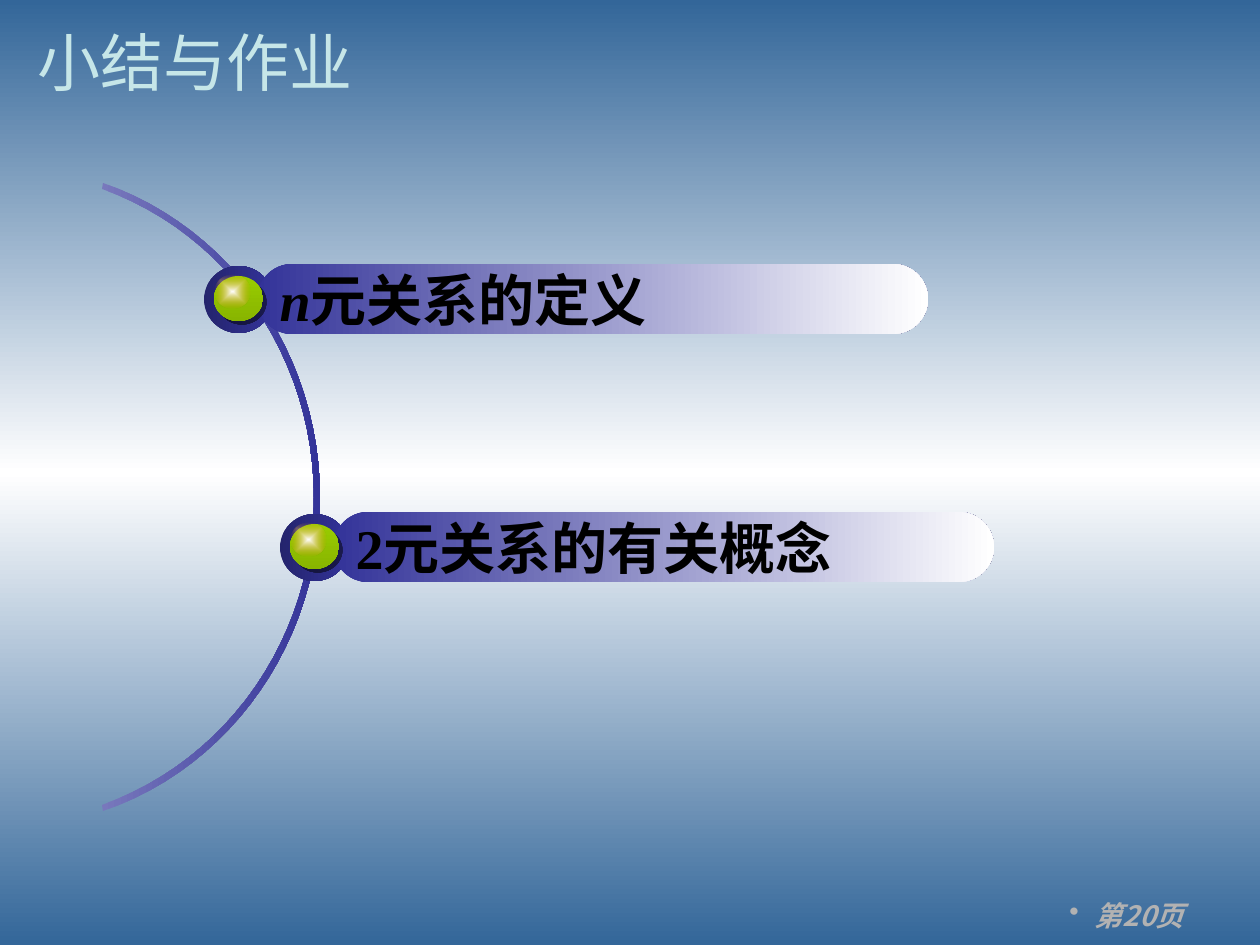
from lxml.etree import SubElement
from pptx import Presentation
from pptx.dml.color import RGBColor
from pptx.enum.shapes import MSO_SHAPE as Shape
from pptx.enum.text import MSO_ANCHOR as Anchor, PP_ALIGN as Align
from pptx.oxml.ns import qn
from pptx.util import Pt

PX = 914400 / 126
LATIN = "Times New Roman"
CJK = "Noto Sans CJK SC"
NAVY, WHITE = "333399", "FFFFFF"

TITLE = "小结与作业"
PAGE_LABEL = "第20页"
ITEMS = [
    {"lead": "n", "italic": True, "text": "元关系的定义", "left": 204, "top": 264, "width": 671},
    {"lead": "2", "italic": False, "text": "元关系的有关概念", "left": 280, "top": 512, "width": 661},
]
OUTER_ARC = [(102, 189), (229, 234), (314, 358), (314, 498), (314, 636), (229, 760), (102, 805)]
INNER_ARC = [(103, 811), (233, 766), (320, 639), (320, 498), (320, 355), (233, 229), (103, 183)]
CURVE_STEPS = 24


def emu(*lengths):
    return [round(length * PX) for length in lengths]


def rgb(value):
    return RGBColor.from_string(value)


def add_color(parent, value, alpha=100):
    color = SubElement(parent, qn("a:srgbClr"), val=value)
    if alpha < 100:
        SubElement(color, qn("a:alpha"), val=str(alpha * 1000))


def set_gradient(fill, element, stops, angle=0, centered=False):
    fill.gradient()
    gradient = element.find(".//" + qn("a:gradFill"))
    for child in list(gradient):
        gradient.remove(child)
    stop_list = SubElement(gradient, qn("a:gsLst"))
    for position, value, *alpha in stops:
        stop = SubElement(stop_list, qn("a:gs"), pos=str(position * 1000))
        add_color(stop, value, *alpha)
    if centered:
        shading = SubElement(gradient, qn("a:path"), path="shape")
        SubElement(shading, qn("a:fillToRect"), l="50000", t="50000", r="50000", b="50000")
    else:
        SubElement(gradient, qn("a:lin"), ang=str(angle * 60000), scaled="0")


def finish(shape, stops, **gradient):
    shape.shadow.inherit = False
    shape.line.fill.background()
    set_gradient(shape.fill, shape.element, stops, **gradient)
    return shape


def add_shape(shapes, kind, bounds, stops, **gradient):
    return finish(shapes.add_shape(kind, *emu(*bounds)), stops, **gradient)


def add_text(para, text, size=32, font="Arial", color="000000", bold=False, italic=False):
    span = para.add_run()
    span.text = text
    style = span.font
    style.size, style.name = Pt(size), font
    style.bold, style.italic = bold, italic
    style.color.rgb = rgb(color)
    SubElement(style._element, qn("a:ea"), typeface=font)


def curve_points(controls):
    points = [controls[0]]
    for start in range(0, len(controls) - 1, 3):
        p0, p1, p2, p3 = controls[start:start + 4]
        for step in range(1, CURVE_STEPS + 1):
            t = step / CURVE_STEPS
            u = 1 - t
            points.append(tuple(
                u**3 * a + 3 * u * u * t * b + 3 * u * t * t * c + t**3 * d
                for a, b, c, d in zip(p0, p1, p2, p3)))
    return points


def add_arc(slide):
    points = [emu(*point) for point in curve_points(OUTER_ARC) + curve_points(INNER_ARC)]
    builder = slide.shapes.build_freeform(*points[0])
    builder.add_line_segments(points[1:], close=True)
    finish(builder.convert_to_shape(), [(0, "7878BC"), (100, NAVY)])


def add_item(slide, item):
    left, top = item["left"], item["top"]
    shapes = slide.shapes.add_group_shape().shapes
    add_shape(shapes, Shape.OVAL, (left, top + 2, 69, 67), [(0, "24246D"), (100, NAVY)])

    pill = add_shape(shapes, Shape.ROUNDED_RECTANGLE, (left + 53, top, item["width"], 70),
                     [(0, NAVY), (100, WHITE)])
    pill.adjustments[0] = 0.5
    frame = pill.text_frame
    frame.word_wrap = False
    frame.vertical_anchor = Anchor.MIDDLE
    para = frame.paragraphs[0]
    para.alignment = Align.LEFT
    add_text(para, item["lead"], font=LATIN, bold=True, italic=item["italic"])
    add_text(para, item["text"], bold=True)

    ball = add_shape(shapes, Shape.OVAL, (left + 10, top + 12, 49, 45),
                     [(0, "99CC00"), (100, "88B500")], angle=90)
    effects = ball.element.spPr.find(qn("a:effectLst"))
    shadow = SubElement(effects, qn("a:outerShdw"), dist=str(Pt(2.8)), dir=str(45 * 60000))
    add_color(shadow, "000000", 50)

    add_shape(shapes, Shape.OVAL, (left + 11, top + 11, 35, 34),
              [(0, WHITE), (100, "E9940B", 0)], centered=True)


def add_title(slide):
    title = slide.shapes.title
    title.left, title.top, title.width, title.height = emu(25, 16, 1210, 90)
    title.text_frame.vertical_anchor = Anchor.MIDDLE
    para = title.text_frame.paragraphs[0]
    para.alignment = Align.LEFT
    add_text(para, TITLE, size=36, color="C6E6E8")


def add_page_label(slide):
    box = slide.shapes.add_textbox(*emu(1057, 892, 139, 47))
    box.text_frame.word_wrap = True
    para = box.text_frame.paragraphs[0]
    para.alignment = Align.RIGHT
    SubElement(para._p.get_or_add_pPr(), qn("a:buChar"), char="•")
    add_text(para, PAGE_LABEL, size=16, font=CJK, color="B2B2B2", bold=True, italic=True)


def main():
    deck = Presentation()
    deck.slide_width, deck.slide_height = emu(1260, 945)
    slide = deck.slides.add_slide(deck.slide_layouts[5])
    set_gradient(slide.background.fill, slide.element,
                 [(0, "336699"), (50, WHITE), (100, "336699")], angle=90)
    add_page_label(slide)
    add_arc(slide)
    add_title(slide)
    for item in ITEMS:
        add_item(slide, item)
    deck.save("out.pptx")


if __name__ == "__main__":
    main()
